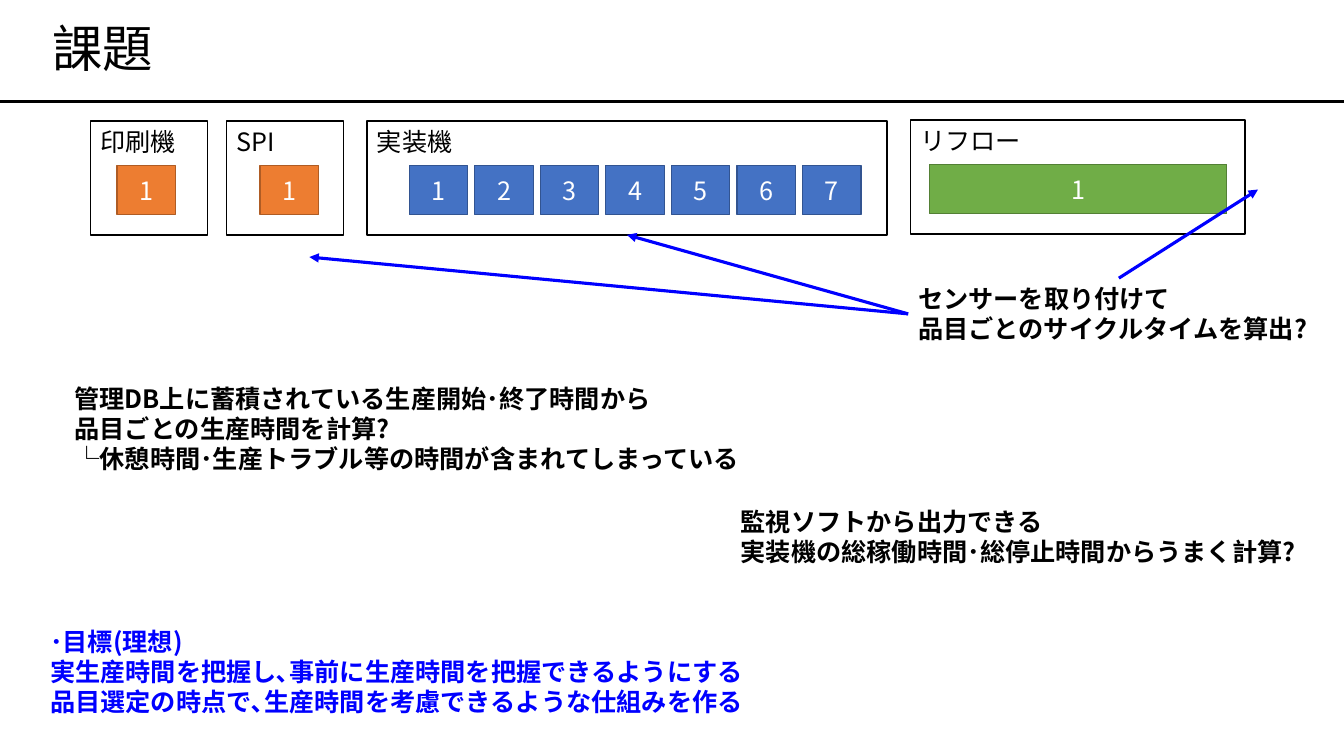
from lxml.etree import SubElement
from pptx import Presentation
from pptx.dml.color import RGBColor
from pptx.enum.shapes import MSO_CONNECTOR, MSO_SHAPE
from pptx.enum.text import MSO_ANCHOR, MSO_AUTO_SIZE, PP_ALIGN
from pptx.oxml.ns import qn
from pptx.util import Pt

FONT = "Noto Sans CJK JP"
HUES = {
    "black": "000000", "white": "FFFFFF", "focus": "0000FF",
    "orange": "ED7D31", "rust": "AF5C24",
    "blue": "4472C4", "navy": "325491",
    "green": "70AD47", "moss": "538035",
}
WIDE, HIGH = 960, 540
UNIT_W, UNIT_H, STEP = 41.8, 35.3, 46.8


def hue(name):
    return RGBColor.from_string(HUES[name])


def write(frame, lines, color, size=18, bold=False, align=PP_ALIGN.LEFT):
    frame.word_wrap = True
    for i, line in enumerate(lines):
        para = frame.paragraphs[0] if i == 0 else frame.add_paragraph()
        para.text = line
        para.alignment = align
        font = para.font
        font.size, font.bold = Pt(size), bold
        font.color.rgb = hue(color)
        font.name = FONT
        # East Asian glyphs need their own font entry
        props = para._p.pPr.find(qn("a:defRPr"))
        SubElement(props, qn("a:ea")).set("typeface", FONT)


def add_rect(slide, box, fill, edge):
    rect = slide.shapes.add_shape(MSO_SHAPE.RECTANGLE, *map(Pt, box))
    rect.shadow.inherit = False
    if fill:
        rect.fill.solid()
        rect.fill.fore_color.rgb = hue(fill)
    else:
        rect.fill.background()
    rect.line.color.rgb = hue(edge)
    rect.line.width = Pt(1)
    return rect


def add_line(slide, start, end, color, arrow=False):
    line = slide.shapes.add_connector(
        MSO_CONNECTOR.STRAIGHT, *map(Pt, start + end))
    line.line.color.rgb = hue(color)
    line.line.width = Pt(2.25)
    props = line._element.spPr
    if arrow:
        SubElement(props.find(qn("a:ln")), qn("a:tailEnd")).set("type", "triangle")
    SubElement(props, qn("a:effectLst"))
    return line


def add_title(slide, box, text):
    frame = slide.shapes.add_textbox(*map(Pt, box)).text_frame
    frame.vertical_anchor = MSO_ANCHOR.MIDDLE
    write(frame, [text], "black", 36)
    frame.paragraphs[0].line_spacing = 0.9


def add_stage(slide, box, label, inset, count, wide, fill, edge):
    """A process frame with its numbered units."""
    left, top, _, _ = box
    frame = add_rect(slide, box, None, "black")
    frame.text_frame.vertical_anchor = MSO_ANCHOR.TOP
    write(frame.text_frame, [label], "black")
    for i in range(count):
        place = (left + inset + i * STEP, top + 31.7, wide, UNIT_H)
        unit = add_rect(slide, place, fill, edge)
        unit.text_frame.vertical_anchor = MSO_ANCHOR.MIDDLE
        write(unit.text_frame, [str(i + 1)], "white", align=PP_ALIGN.CENTER)
    return frame


def add_note(slide, box, lines, color="black"):
    note = slide.shapes.add_textbox(*map(Pt, box))
    write(note.text_frame, lines, color, bold=True)
    note.text_frame.auto_size = MSO_AUTO_SIZE.SHAPE_TO_FIT_TEXT
    return note


def main():
    deck = Presentation()
    deck.slide_width, deck.slide_height = Pt(WIDE), Pt(HIGH)
    slide = deck.slides.add_slide(deck.slide_layouts[6])

    # Heading
    add_line(slide, (0, 72.7), (WIDE, 72.7), "black")
    add_title(slide, (30.2, 12.2, 612, 48.2), "課題")

    # Production line
    top, tall = 86.4, 81.4
    add_stage(slide, (64.8, top, 83.5, tall), "印刷機",
              18.7, 1, UNIT_W, "orange", "rust")
    add_stage(slide, (162, top, 83.5, tall), "SPI",
              23.8, 1, UNIT_W, "orange", "rust")
    mount = add_stage(slide, (262.1, top, 371.5, tall), "実装機",
                      30.2, 7, UNIT_W, "blue", "navy")
    add_stage(slide, (650.2, top - 0.7, 239, tall), "リフロー",
              13.7, 1, 212.4, "green", "moss")

    # Ideas and goal
    sensor = add_note(slide, (648.7, 198.7, 301, 51), [
        "センサーを取り付けて",
        "品目ごとのサイクルタイムを算出?"])
    add_note(slide, (46.1, 270, 513.4, 72.7), [
        "管理DB上に蓄積されている生産開始･終了時間から",
        "品目ごとの生産時間を計算?",
        "└休憩時間･生産トラブル等の時間が含まれてしまっている"])
    add_note(slide, (522, 357.8, 447.8, 51), [
        "監視ソフトから出力できる",
        "実装機の総稼働時間･総停止時間からうまく計算?"])
    add_note(slide, (28.8, 443.5, 547.2, 72.7), [
        "･目標(理想)",
        "実生産時間を把握し､事前に生産時間を把握できるようにする",
        "品目選定の時点で､生産時間を考慮できるような仕組みを作る"], "focus")

    # Arrows from the sensor note: its side, then the tip
    tips = [(0, (898.6, 135.4)), (1, (447.8, 167.8)), (1, (221, 183.6))]
    arrows = []
    for side, tip in tips:
        arrow = add_line(slide, (648.7, 224.2), tip, "focus", True)
        arrow.begin_connect(sensor, side)
        arrows.append(arrow)
    arrows[1].end_connect(mount, 2)

    deck.save("out.pptx")


if __name__ == "__main__":
    main()
